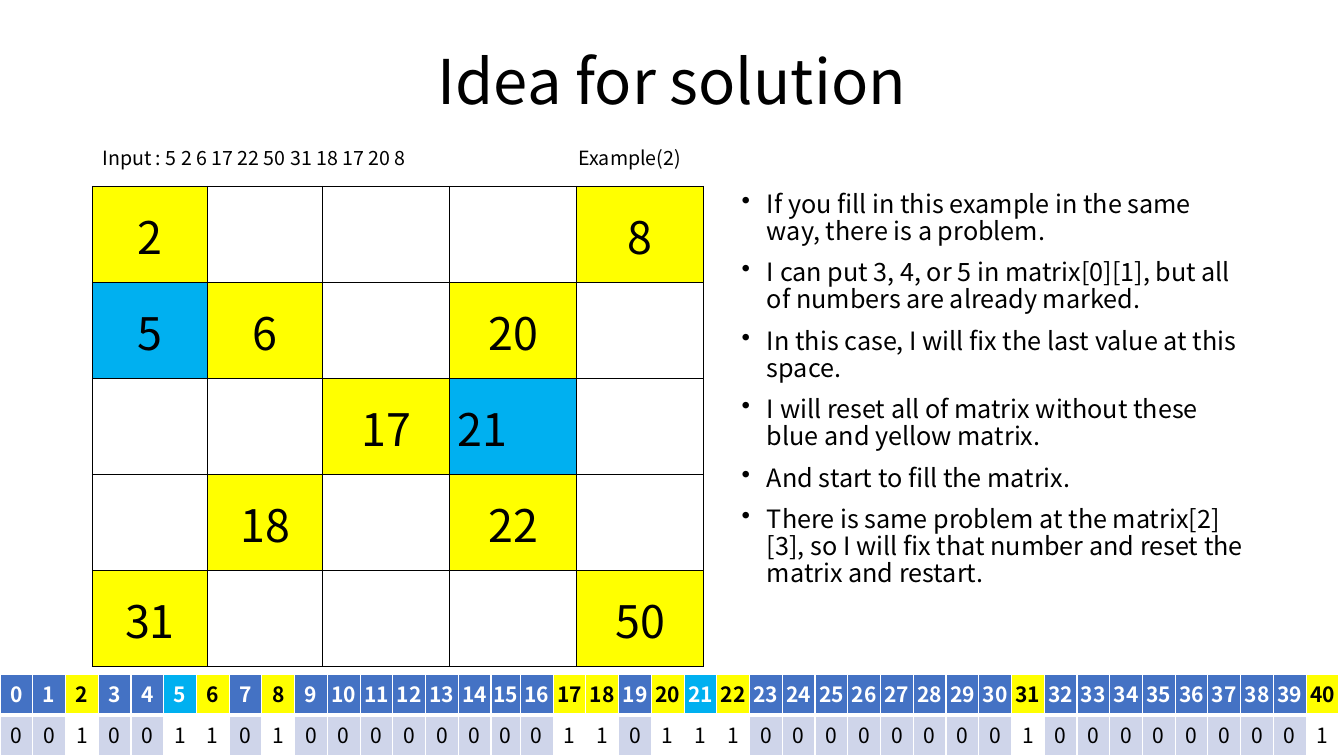
from lxml.etree import SubElement
from pptx import Presentation
from pptx.dml.color import RGBColor
from pptx.enum.text import MSO_ANCHOR, PP_ALIGN
from pptx.oxml.ns import qn
from pptx.util import Cm, Pt

# Content
FONT = "Noto Sans CJK KR"
INK = {"black": "000000", "white": "FFFFFF", "yellow": "FFFF00",
       "cyan": "00B0F0", "blue": "4472C4", "pale": "CFD5EA"}
TITLE = "Idea for solution"
INPUT = "Input : 5 2 6 17 22 50 31 18 17 20 8"
LABEL = "Example(2)"
GRID = [
    [2, None, None, None, 8],
    [5, 6, None, 20, None],
    [None, None, 17, 21, None],
    [None, 18, None, 22, None],
    [31, None, None, None, 50],
]
FIXED = {5, 21}
GIVEN = {2, 6, 8, 17, 18, 20, 22, 31, 40}
LAST = 40
POINTS = [
    "If you fill in this example in the same way, there is a problem.",
    "I can put 3, 4, or 5 in matrix[0][1], but all of numbers are already marked.",
    "In this case, I will fix the last value at this space.",
    "I will reset all of matrix without these blue and yellow matrix.",
    "And start to fill the matrix.",
    "There is same problem at the matrix[2][3], so I will fix that number "
    "and reset the matrix and restart.",
]

deck = Presentation()
deck.slide_width, deck.slide_height = Cm(33.87), Cm(19.05)
slide = deck.slides.add_slide(deck.slide_layouts[6])


def style(para, size, color="black", bold=False):
    for run in para.runs:
        font = run.font
        font.name, font.size, font.bold = FONT, Pt(size), bold
        font.color.rgb = RGBColor.from_string(INK[color])


def write(box, lines, size, before=10, bullet=False):
    frame = slide.shapes.add_textbox(*map(Cm, box)).text_frame
    frame.word_wrap = True
    frame.text = "\n".join(lines)
    for para in frame.paragraphs:
        para.line_spacing, para.space_before = 0.9, Pt(before)
        style(para, size)
        if bullet:
            props = para._p.get_or_add_pPr()
            props.set("marL", str(Cm(0.64)))
            props.set("indent", str(-Cm(0.64)))
            SubElement(props, qn("a:buChar")).set("char", "•")
    return frame


def border(cell, color, bottom=1):
    props = cell._tc.get_or_add_tcPr()
    for side, width in zip("LRTB", (1, 1, 1, bottom)):
        line = SubElement(props, qn(f"a:ln{side}"), w=str(Pt(width)))
        fill = SubElement(line, qn("a:solidFill"))
        SubElement(fill, qn("a:srgbClr")).set("val", INK[color])


def paint(cell, color):
    cell.fill.solid()
    cell.fill.fore_color.rgb = RGBColor.from_string(INK[color])


def inset(cell, left, top, right, bottom):
    cell.margin_left, cell.margin_top = Cm(left), Cm(top)
    cell.margin_right, cell.margin_bottom = Cm(right), Cm(bottom)


def put(cell, value, size, color="black", bold=False):
    cell.text = str(value)
    para = cell.text_frame.paragraphs[0]
    para.alignment = PP_ALIGN.CENTER
    style(para, size, color, bold)


def table(left, top, widths, heights):
    frame = slide.shapes.add_table(len(heights), len(widths), Cm(left), Cm(top),
                                   Cm(sum(widths)), Cm(sum(heights)))
    made = frame.table
    made.first_row = made.horz_banding = False
    for col, width in zip(made.columns, widths):
        col.width = Cm(width)
    for row, height in zip(made.rows, heights):
        row.height = Cm(height)
    return made


# Title
head = write((2.33, 0.28, 29.21, 3.68), [TITLE], 44, before=0)
head.vertical_anchor = MSO_ANCHOR.MIDDLE
head.paragraphs[0].alignment = PP_ALIGN.CENTER

# Matrix
matrix = table(2.33, 4.7, [2.9] * 2 + [3.2] * 3, [2.42] * 5)
for r, row in enumerate(GRID):
    for c, value in enumerate(row):
        cell = matrix.cell(r, c)
        border(cell, "black")
        if value is None:
            cell.fill.background()
            continue
        paint(cell, "cyan" if value in FIXED else "yellow")
        inset(cell, 0.03, 0.03, 0.03, 0)
        cell.vertical_anchor = MSO_ANCHOR.MIDDLE
        put(cell, value, 32)
        if value == 21:
            cell.text_frame.paragraphs[0].alignment = PP_ALIGN.LEFT
            cell.margin_left = Cm(0.2)

# Captions and notes on the method
write((2.33, 3.63, 9.78, 1.07), [INPUT], 14)
write((14.33, 3.63, 3.35, 1.07), [LABEL], 14)
write((18.44, 4.7, 13.23, 12.09), POINTS, 18, bullet=True)

# Strip of marked numbers, with one narrow column
NARROW, SLIM, FULL = 15, 0.74, 33.76
wide = (FULL - SLIM) / LAST
widths = [SLIM if n == NARROW else wide for n in range(LAST + 1)]
strip = table(0, 16.99, widths, [1.03] * 2)
for n in range(LAST + 1):
    top, low = strip.cell(0, n), strip.cell(1, n)
    given, mark = n in GIVEN, n in GIVEN | FIXED
    border(top, "white", bottom=3)
    border(low, "white")
    paint(top, "yellow" if given else "cyan" if mark else "blue")
    paint(low, "white" if mark else "pale")
    for cell in (top, low):
        inset(cell, 0, 0.1, 0, 0)
    put(top, n, 15, "black" if given else "white", bold=True)
    put(low, int(mark), 15)

deck.save("out.pptx")
